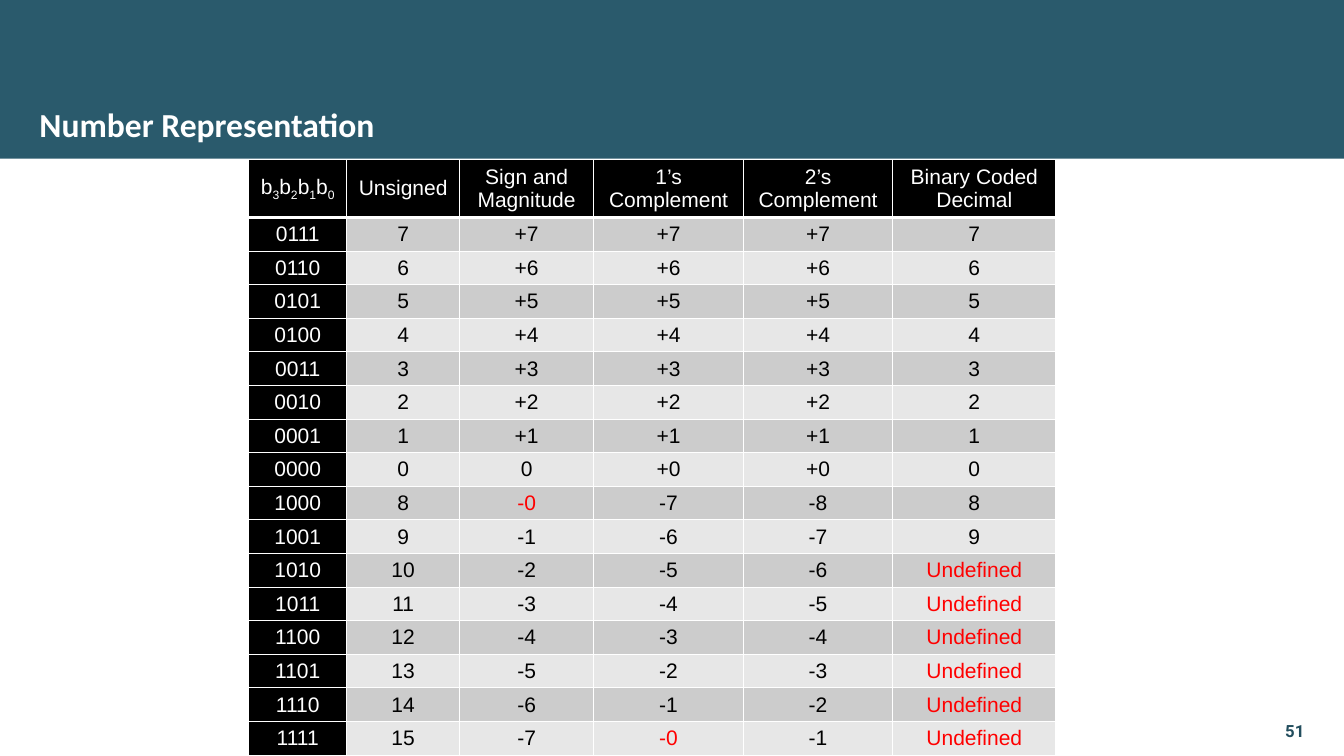
from lxml import etree
from pptx import Presentation
from pptx import util as u
from pptx.dml.color import RGBColor
from pptx.enum import shapes, text
from pptx.oxml import ns

GRID_COLUMNS, GRID_ROWS = 16, 9
UNIT = u.Inches(1)

TEAL = RGBColor(0x2A, 0x5A, 0x6C)
DARK_TEAL = RGBColor(0x23, 0x4E, 0x5E)
WHITE = RGBColor(0xFF, 0xFF, 0xFF)
BLACK = RGBColor(0x00, 0x00, 0x00)
RED = RGBColor(0xFF, 0x00, 0x00)
DARK_BAND = RGBColor(0xCC, 0xCC, 0xCC)
LIGHT_BAND = RGBColor(0xE7, 0xE7, 0xE7)

BIT_INDICES = "3210"
SCHEMES = ["Unsigned", "Sign and Magnitude", "1’s Complement",
           "2’s Complement", "Binary Coded Decimal"]
CODES = [*range(7, -1, -1), *range(8, 16)]
COLUMN_WIDTHS = [1.17, 1.34, 1.6, 1.78, 1.78, 1.94]
HEADER_HEIGHT, CODE_HEIGHT = 0.69, 0.4


def grid(*cells):
    return [u.Emu(round(cell * UNIT)) for cell in cells]


def style_font(font, name, size, color, bold=False):
    font.name, font.size, font.bold = name, u.Pt(size), bold
    font.color.rgb = color


def fill_label(label, wording, name, size, color, align):
    frame = label.text_frame
    frame.text = wording
    frame.word_wrap = True
    frame.auto_size = text.MSO_AUTO_SIZE.NONE
    frame.vertical_anchor = text.MSO_ANCHOR.BOTTOM
    frame.margin_left = frame.margin_right = 0
    frame.margin_top = frame.margin_bottom = 0
    paragraph = frame.paragraphs[0]
    paragraph.alignment = align
    style_font(paragraph.font, name, size, color, True)


def add_banner(slide):
    banner = slide.shapes.add_shape(shapes.MSO_SHAPE.RECTANGLE,
                                    *grid(0, 0, GRID_COLUMNS, 1.89))
    banner.shadow.inherit = False
    banner.fill.solid()
    banner.fill.fore_color.rgb = TEAL
    banner.line.fill.background()
    slide.shapes._spTree.insert(2, banner._element)


def add_title(slide):
    title = slide.shapes.title
    title.left, title.top, title.width, title.height = grid(0.47, 0.54, 11.56, 1.18)
    fill_label(title, "Number Representation", "Calibri", 28.8, WHITE,
               text.PP_ALIGN.LEFT)


def add_page_number(slide):
    page_number = slide.shapes.add_textbox(*grid(14.9, 8.38, 0.63, 0.44))
    fill_label(page_number, "51", "Roboto", 14.4, DARK_TEAL, text.PP_ALIGN.RIGHT)


def set_borders(cell, bottom_width):
    properties = cell._tc.get_or_add_tcPr()
    widths = {"a:lnL": 1, "a:lnR": 1, "a:lnT": 1, "a:lnB": bottom_width}
    for position, (side, width) in enumerate(widths.items()):
        border = etree.Element(ns.qn(side), w=str(u.Pt(width)))
        solid = etree.SubElement(border, ns.qn("a:solidFill"))
        etree.SubElement(solid, ns.qn("a:srgbClr"), val=str(WHITE))
        properties.insert(position, border)


def style_cell(cell, fill, color, bottom_width=1):
    cell.fill.solid()
    cell.fill.fore_color.rgb = fill
    cell.vertical_anchor = text.MSO_ANCHOR.MIDDLE
    paragraph = cell.text_frame.paragraphs[0]
    paragraph.alignment = text.PP_ALIGN.CENTER
    style_font(paragraph.font, "Arial", 18, color)
    set_borders(cell, bottom_width)


def write_bit_names(cell):
    paragraph = cell.text_frame.paragraphs[0]
    for index in BIT_INDICES:
        paragraph.add_run().text = "b"
        subscript = paragraph.add_run()
        subscript.text = index
        subscript.font._element.set("baseline", "-25000")


def interpretations(code):
    if code < 8:
        signed = f"+{code}"
        magnitude = signed if code else "0"
        ones = twos = signed
    else:
        magnitude, ones, twos = f"-{code - 8}", f"-{15 - code}", f"-{16 - code}"
    decimal = str(code) if code < 10 else "Undefined"
    return [f"{code:04b}", str(code), magnitude, ones, twos, decimal]


def add_code_table(slide):
    heights = [HEADER_HEIGHT] + [CODE_HEIGHT] * len(CODES)
    table = slide.shapes.add_table(
        len(heights), len(COLUMN_WIDTHS),
        *grid(2.96, 1.9, sum(COLUMN_WIDTHS), sum(heights))).table
    for column, width in zip(table.columns, grid(*COLUMN_WIDTHS)):
        column.width = width
    for row, height in zip(table.rows, grid(*heights)):
        row.height = height

    write_bit_names(table.cell(0, 0))
    for column, scheme in enumerate(SCHEMES, 1):
        table.cell(0, column).text = scheme
    for column in range(len(COLUMN_WIDTHS)):
        style_cell(table.cell(0, column), BLACK, WHITE, 3)

    for row, code in enumerate(CODES, 1):
        band = DARK_BAND if row % 2 else LIGHT_BAND
        for column, value in enumerate(interpretations(code)):
            cell = table.cell(row, column)
            cell.text = value
            if column == 0:
                style_cell(cell, BLACK, WHITE)
            else:
                style_cell(cell, band, RED if value in ("-0", "Undefined") else BLACK)


def main():
    deck = Presentation()
    deck.slide_width, deck.slide_height = grid(GRID_COLUMNS, GRID_ROWS)
    slide = deck.slides.add_slide(deck.slide_layouts[5])
    add_banner(slide)
    add_page_number(slide)
    add_title(slide)
    add_code_table(slide)
    deck.save("out.pptx")


if __name__ == "__main__":
    main()
